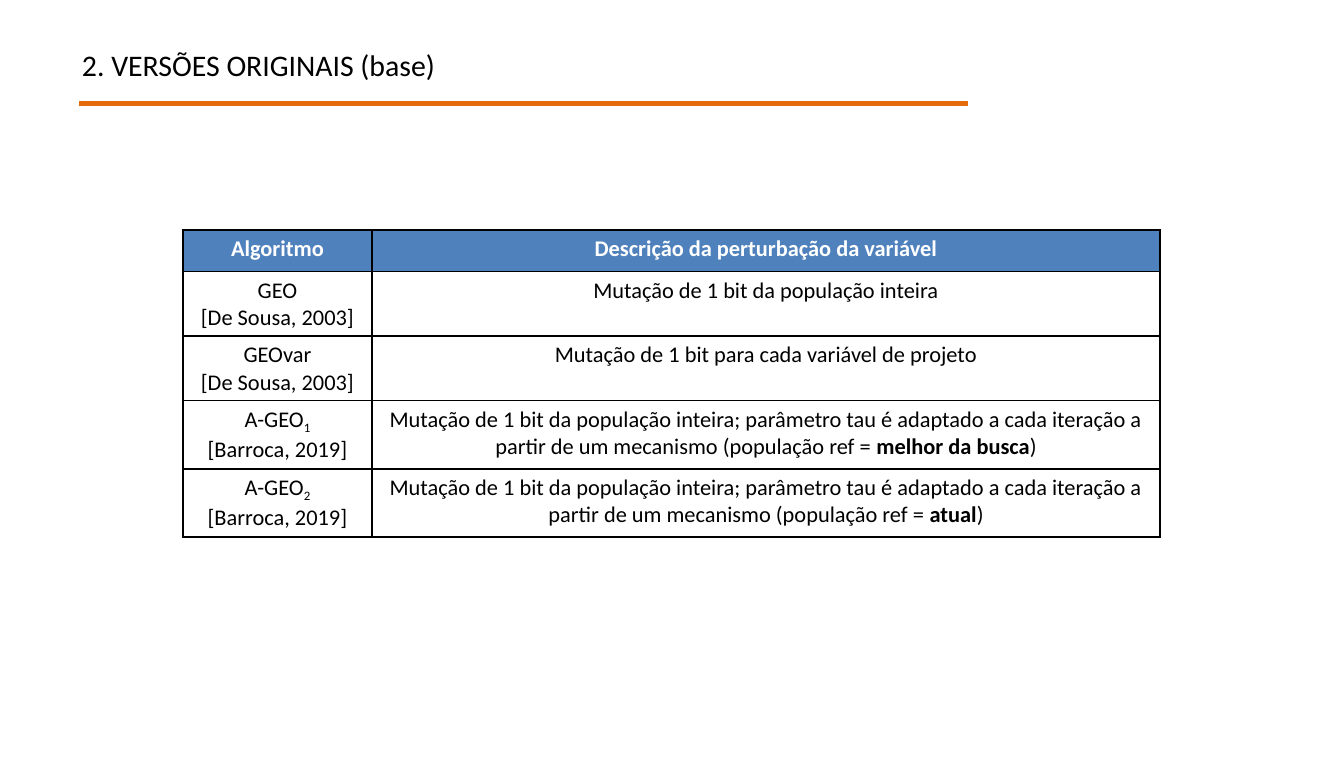
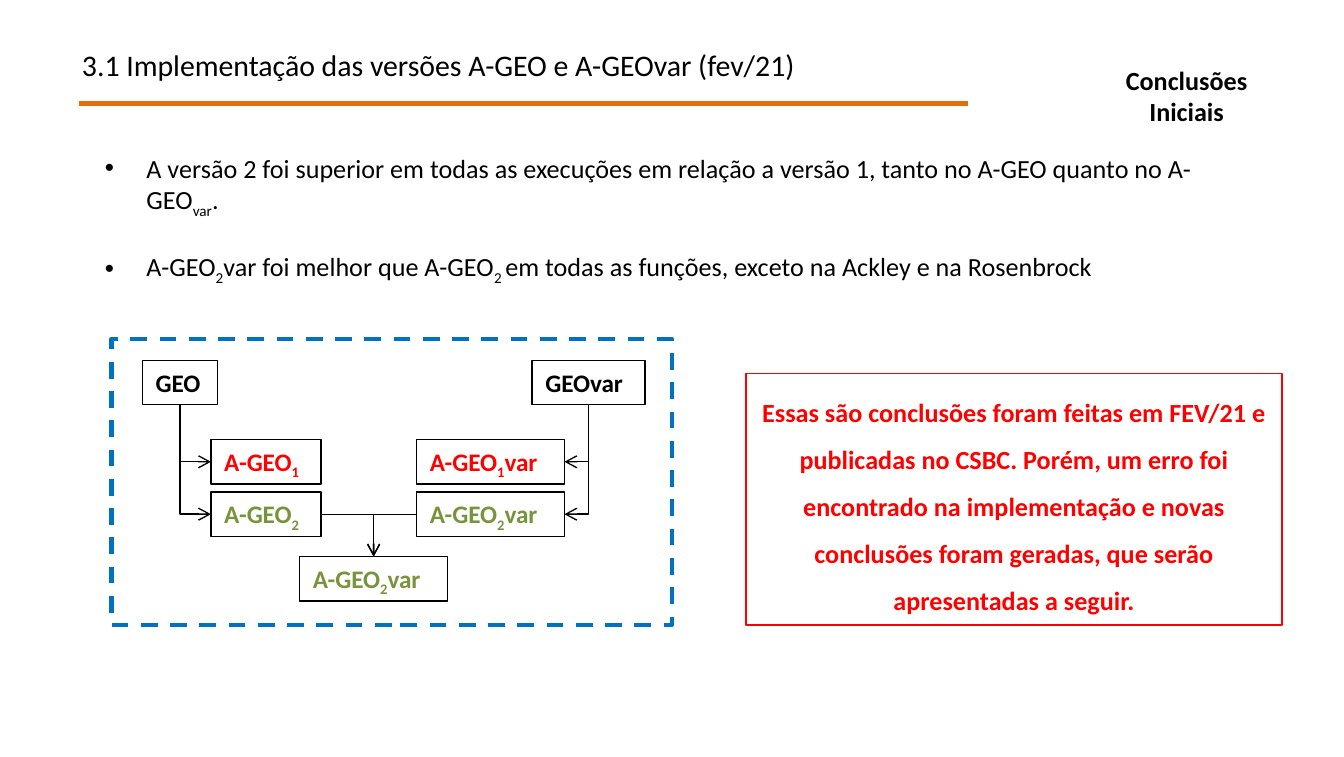
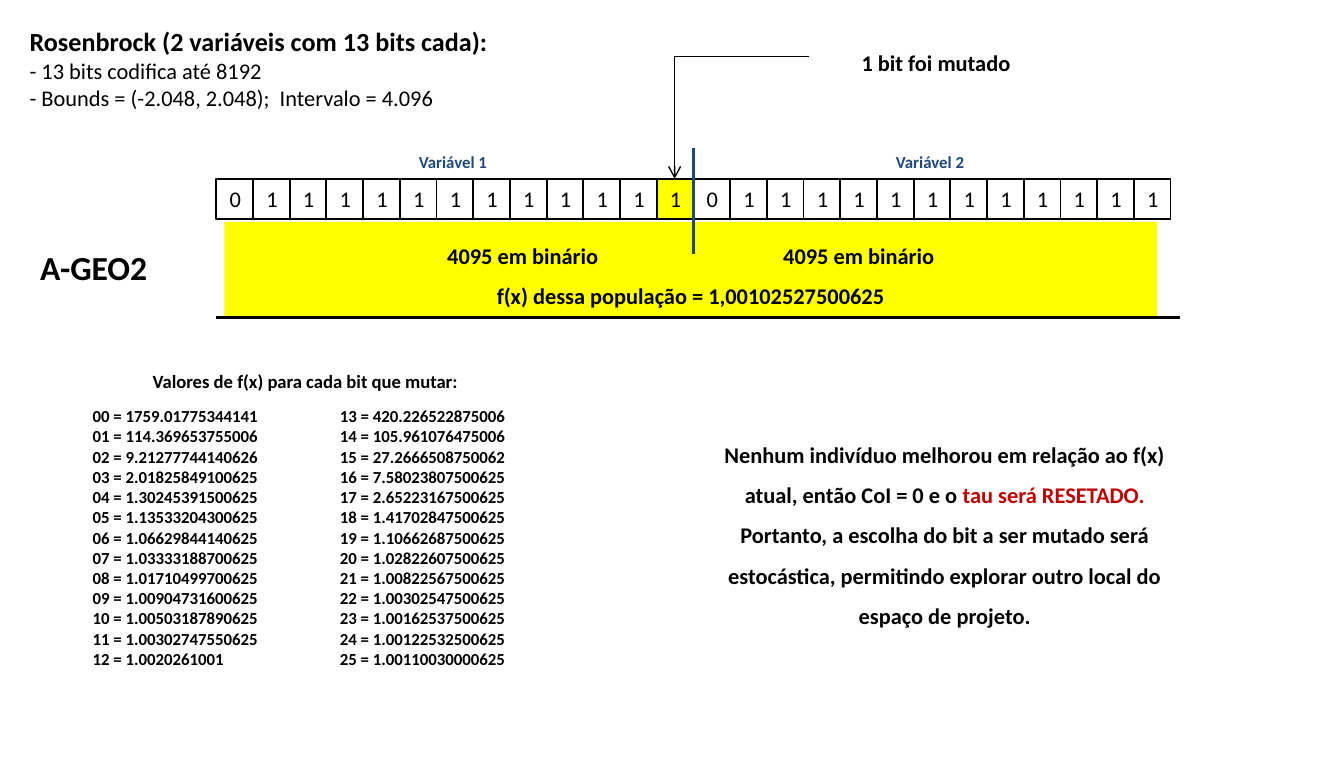
from dataclasses import dataclass, field
from typing import Any, NamedTuple

import pptx
import pptx.dml.color
import pptx.enum.dml
import pptx.enum.shapes
import pptx.enum.text
import pptx.oxml
import pptx.oxml.ns
import pptx.util
from pptx.util import Inches

Pt = pptx.util.Pt
ALIGN = pptx.enum.text.PP_ALIGN
ANCHOR = pptx.enum.text.MSO_ANCHOR
GROW = pptx.enum.text.MSO_AUTO_SIZE.SHAPE_TO_FIT_TEXT
LINK = pptx.enum.shapes.MSO_CONNECTOR
RECT = pptx.enum.shapes.MSO_SHAPE.RECTANGLE
DASH = pptx.enum.dml.MSO_LINE.DASH

HUES = {
    "black": "000000",
    "white": "FFFFFF",
    "orange": "E46C0A",
    "head": "4F81BD",
    "red": "FF0000",
    "green": "77933C",
    "frame": "0070C0",
    "yellow": "FFFF00",
    "navy": "1F497D",
    "crimson": "C00000",
}
FONT = "Calibri"
LEFT = {"alignment": ALIGN.LEFT}
MID = {"alignment": ALIGN.CENTER}
WIDE = {"alignment": ALIGN.CENTER, "line_spacing": 1.5}


class Run(NamedTuple):
    text: str
    font: dict[str, Any] = {}
    sub: bool = False


class Area(NamedTuple):
    left: float
    top: float
    width: float
    height: float

    def place(self) -> tuple:
        return tuple(Inches(side) for side in self)


@dataclass
class Box:
    area: Area
    lines: list
    font: dict[str, Any] = field(default_factory=dict)
    para: dict[str, Any] = field(default_factory=lambda: LEFT)
    wrap: bool = True
    line: str | None = None
    weight: float = 0.75
    fill: str | None = None
    dash: Any = None


def sub(text: str) -> Run:
    return Run(text, sub=True)


def bold(text: str) -> Run:
    return Run(text, {"bold": True})


def rgb(hue: str) -> pptx.dml.color.RGBColor:
    return pptx.dml.color.RGBColor.from_string(HUES[hue])


def assign(item: Any, values: dict[str, Any]) -> None:
    for name, value in values.items():
        setattr(item, name, value)


def write(frame: Any, lines: list, font: dict, para: dict) -> None:
    """Fill a text frame; a line is a string or a tuple of strings and runs."""
    for index, line in enumerate(lines):
        part = frame.add_paragraph() if index else frame.paragraphs[0]
        assign(part, para)
        for item in line if type(line) is tuple else (line,):
            piece = item if isinstance(item, Run) else Run(item)
            run = part.add_run()
            run.text = piece.text
            look = {"name": FONT, "color": "black", "bold": False, **font, **piece.font}
            run.font.color.rgb = rgb(look.pop("color"))
            look["size"] = Pt(look["size"])
            assign(run.font, look)
            if piece.sub:
                run._r.get_or_add_rPr().set("baseline", "-25000")


def fit(shape: Any, box: Box) -> None:
    """Give a text shape or placeholder the text and frame of a box."""
    assign(shape, dict(zip(("left", "top", "width", "height"), box.area.place())))
    assign(shape.text_frame, {
        "word_wrap": box.wrap, "auto_size": GROW, "vertical_anchor": ANCHOR.TOP,
    })
    write(shape.text_frame, box.lines, box.font, box.para)


def draw(slide: Any, box: Box) -> Any:
    if not (box.line or box.fill):
        shape = slide.shapes.add_textbox(*box.area.place())
    else:
        shape = slide.shapes.add_shape(RECT, *box.area.place())
        shape.shadow.inherit = False
        if box.fill:
            shape.fill.solid()
            shape.fill.fore_color.rgb = rgb(box.fill)
        else:
            shape.fill.background()
        if box.line:
            shape.line.color.rgb = rgb(box.line)
            shape.line.width = Pt(box.weight)
            shape.line.dash_style = box.dash
        else:
            shape.line.fill.background()
    if box.lines:
        fit(shape, box)
    return shape


def join(slide: Any, start: tuple, end: tuple, hue: str, weight: float,
         kind: Any = LINK.STRAIGHT) -> Any:
    """Draw a line between two points given as lengths."""
    link = slide.shapes.add_connector(kind, *start, *end)
    link.line.color.rgb = rgb(hue)
    link.line.width = Pt(weight)
    link._element.spPr.append(pptx.oxml.parse_xml(
        f'<a:effectLst {pptx.oxml.ns.nsdecls("a")}/>'))
    return link


def bend(slide: Any, start: tuple, end: tuple, tip: str = "tailEnd") -> None:
    """Draw a one-corner arrow that leaves its start sideways."""
    link = join(slide, start, end, "black", 0.75, LINK.ELBOW)
    link._element.spPr.prstGeom.set("prst", "bentConnector2")
    link.line._get_or_add_ln().append(pptx.oxml.parse_xml(
        f'<a:{tip} {pptx.oxml.ns.nsdecls("a")} type="arrow"/>'))


def side(shape: Any, name: str) -> tuple:
    """Middle of one side of a shape."""
    x = {"left": 0, "right": shape.width}.get(name, shape.width // 2)
    y = {"top": 0, "bottom": shape.height}.get(name, shape.height // 2)
    return shape.left + x, shape.top + y


def head(slide: Any, text: str, width: float) -> None:
    """Section title over its orange rule."""
    fit(slide.shapes.title, Box(Area(0.51, 0.3, width, 0.37), [text], {"size": 16}))
    rule = Inches(0.77)
    join(slide, (Inches(0.59), rule), (Inches(7.2), rule), "orange", 3)


def edge(cell: Any) -> None:
    for index, name in enumerate(("lnL", "lnR", "lnT", "lnB")):
        cell._tc.get_or_add_tcPr().insert(index, pptx.oxml.parse_xml(
            f'<a:{name} {pptx.oxml.ns.nsdecls("a")} w="12700"><a:solidFill>'
            f'<a:srgbClr val="{HUES["black"]}"/></a:solidFill></a:{name}>'))


def base(deck: Any) -> None:
    slide = deck.slides.add_slide(deck.slide_layouts[5])
    head(slide, "2. VERSÕES ORIGINAIS (base)", 5.53)
    whole = "Mutação de 1 bit da população inteira"
    adapt = (f"{whole}; parâmetro tau é adaptado a cada iteração a partir "
             "de um mecanismo (população ref = ")
    rows = [
        (["Algoritmo"], ["Descrição da perturbação da variável"]),
        (["GEO", "[De Sousa, 2003]"], [whole]),
        (["GEOvar", "[De Sousa, 2003]"], ["Mutação de 1 bit para cada variável de projeto"]),
    ] + [
        ([("A-GEO", sub(mark)), "[Barroca, 2019]"], [(adapt, bold(ref), ")")])
        for mark, ref in (("1", "melhor da busca"), ("2", "atual"))
    ]
    area = Area(1.36, 1.71, 7.27, 1.55)
    table = slide.shapes.add_table(len(rows), 2, *area.place()).table
    for column, width in zip(table.columns, (1.41, 5.86)):
        column.width = Inches(width)
    for y, row in enumerate(rows):
        table.rows[y].height = Inches(0.31)
        for x, lines in enumerate(row):
            cell = table.cell(y, x)
            assign(cell, {
                "margin_left": Inches(0.08), "margin_right": Inches(0.08),
                "margin_top": Inches(0.04), "margin_bottom": Inches(0.04),
                "vertical_anchor": ANCHOR.MIDDLE if y and not x else ANCHOR.TOP,
            })
            if y:
                cell.fill.background()
            else:
                cell.fill.solid()
                cell.fill.fore_color.rgb = rgb("head")
            font = {"size": 12, "bold": not y, "color": "black" if y else "white"}
            write(cell.text_frame, lines, font, MID)
            edge(cell)


def bullets(slide: Any) -> None:
    body = slide.placeholders[1]
    lines = [
        ("A versão 2 foi superior em todas as execuções em relação a versão 1, "
         "tanto no A-GEO quanto no A-GEO", sub("var"), "."),
        ("A-GEO", sub("2"), "var foi melhor que A-GEO", sub("2 "),
         "em todas as funções, exceto na Ackley e na Rosenbrock"),
    ]
    para = {**LEFT, "space_before": Pt(0), "space_after": Pt(17)}
    fit(body, Box(Area(0.68, 1.08, 8.62, 0.96), lines, {"size": 14}, para))
    for part in body.text_frame.paragraphs:
        props = part._p.get_or_add_pPr()
        props.set("marL", str(Inches(0.31)))
        props.set("indent", str(-Inches(0.31)))
        props.append(pptx.oxml.parse_xml(
            f'<a:buChar {pptx.oxml.ns.nsdecls("a")} char="•"/>'))


def tree(slide: Any) -> None:
    """Family of versions inside a dashed frame."""
    def node(left: float, top: float, width: float, line: Any, hue: str) -> Any:
        font = {"size": 13.5, "bold": True, "color": hue}
        return draw(slide, Box(Area(left, top, width, 0.33), [line], font,
                               wrap=False, line="black"))

    ranks = (("1", 3.27, "red"), ("2", 3.66, "green"))
    sides = (
        ("GEO", 1.06, 0.56, 1.57, 0.82, (), "left"),
        ("GEOvar", 3.96, 0.84, 3.1, 1.1, ("var",), "right"),
    )
    last = []
    for name, left, width, inner, span, tail, port in sides:
        root = node(left, 2.68, width, name, "black")
        for mark, top, hue in ranks:
            leaf = node(inner, top, span, ("A-GEO", sub(mark), *tail), hue)
            bend(slide, side(leaf, port), side(root, "bottom"), "headEnd")
        last.append(leaf)
    best = node(2.23, 4.14, 1.1, ("A-GEO", sub("2"), "var"), "green")
    for leaf, port in zip(last, ("right", "left")):
        bend(slide, side(leaf, port), side(best, "top"))
    draw(slide, Box(Area(0.83, 2.52, 4.17, 2.13), [], line="frame", weight=2.25, dash=DASH))


def first(deck: Any) -> None:
    slide = deck.slides.add_slide(deck.slide_layouts[1])
    head(slide, "3.1 Implementação das versões A-GEO e A-GEOvar (fev/21)", 6.88)
    draw(slide, Box(Area(8.23, 0.43, 1.2, 0.57), ["Conclusões", "Iniciais"],
                    {"size": 14, "bold": True}, MID, wrap=False))
    bullets(slide)
    tree(slide)
    note = ("Essas são conclusões foram feitas em FEV/21 e publicadas no CSBC. "
            "Porém, um erro foi encontrado na implementação e novas conclusões "
            "foram geradas, que serão apresentadas a seguir.")
    draw(slide, Box(Area(5.55, 2.78, 3.99, 1.87), [note],
                    {"size": 14, "bold": True, "color": "red"}, WIDE, line="red"))


def bits(slide: Any) -> None:
    """Row of 26 bits, its two variables and the value of the whole."""
    strong = {"size": 12, "bold": True}
    draw(slide, Box(Area(1.67, 1.65, 6.94, 0.71), [
        "4095 em binário\t\t\t4095 em binário",
        "f(x) dessa população = 1,00102527500625",
    ], strong, WIDE, fill="yellow"))
    left, count = 1.61, 13
    pitch = 7.1 / (2 * count)
    for index, bit in enumerate(("0" + "1" * (count - 1)) * 2):
        draw(slide, Box(Area(left + index * pitch, 1.33, pitch, 0.3), [bit],
                        {"size": 12}, line="black", weight=1,
                        fill="yellow" if index == count - 1 else None))
    for name, start in (("Variável 1", 2.63), ("Variável 2", 6.18)):
        draw(slide, Box(Area(start, 1.08, 1.48, 0.25), [name],
                        {"size": 9, "bold": True, "color": "navy"}, MID))
    split, floor = Inches(5.16), Inches(2.36)
    join(slide, (split, Inches(1.1)), (split, Inches(1.89)), "navy", 1.5)
    join(slide, (Inches(8.78), floor), (Inches(left), floor), "black", 1.5)
    draw(slide, Box(Area(6.02, 0.22, 1.89, 0.4), ["1 bit foi mutado"], strong, WIDE))
    bend(slide, (Inches(6.02), Inches(0.42)), (Inches(5.02), Inches(1.33)))


def scores(slide: Any) -> None:
    values = (
        "1759.01775344141 114.369653755006 9.21277744140626 2.01825849100625 "
        "1.30245391500625 1.13533204300625 1.06629844140625 1.03333188700625 "
        "1.01710499700625 1.00904731600625 1.00503187890625 1.00302747550625 "
        "1.0020261001 420.226522875006 105.961076475006 27.2666508750062 "
        "7.58023807500625 2.65223167500625 1.41702847500625 1.10662687500625 "
        "1.02822607500625 1.00822567500625 1.00302547500625 1.00162537500625 "
        "1.00122532500625 1.00110030000625"
    ).split()
    lines = [f"{index:02} = {value}" for index, value in enumerate(values)]
    half = len(lines) // 2
    for left, width, part in ((0.59, 1.92, lines[:half]), (2.43, 1.68, lines[half:])):
        draw(slide, Box(Area(left, 2.97, width, 2.07), part, {"size": 9, "bold": True}))
    draw(slide, Box(Area(0.75, 2.7, 3.04, 0.27),
                    ["Valores de f(x) para cada bit que mutar:"],
                    {"size": 10, "bold": True}, MID))


def sample(deck: Any) -> None:
    slide = deck.slides.add_slide(deck.slide_layouts[5])
    fit(slide.shapes.title, Box(Area(0.12, 0.14, 4.7, 0.74), [
        (Run("Rosenbrock (2 variáveis com 13 bits cada):", {"size": 14, "bold": True}),),
        "- 13 bits codifica até 8192",
        "- Bounds = (-2.048, 2.048);  Intervalo = 4.096",
    ], {"size": 12}))
    draw(slide, Box(Area(5.28, 3.13, 3.5, 1.61), [(
        "Nenhum indivíduo melhorou em relação ao f(x) atual, então CoI = 0 e o ",
        Run("tau será RESETADO.", {"color": "crimson"}),
        " Portanto, a escolha do bit a ser mutado será estocástica, "
        "permitindo explorar outro local do espaço de projeto.",
    )], {"size": 12, "bold": True}, WIDE))
    scores(slide)
    bits(slide)
    draw(slide, Box(Area(0.2, 1.79, 1.26, 0.4), ["A-GEO2"], {"size": 18, "bold": True}))


def main() -> None:
    deck = pptx.Presentation()
    deck.slide_width, deck.slide_height = Inches(10), Inches(5.63)
    for build in (base, first, sample):
        build(deck)
    deck.save("out.pptx")


if __name__ == "__main__":
    main()
